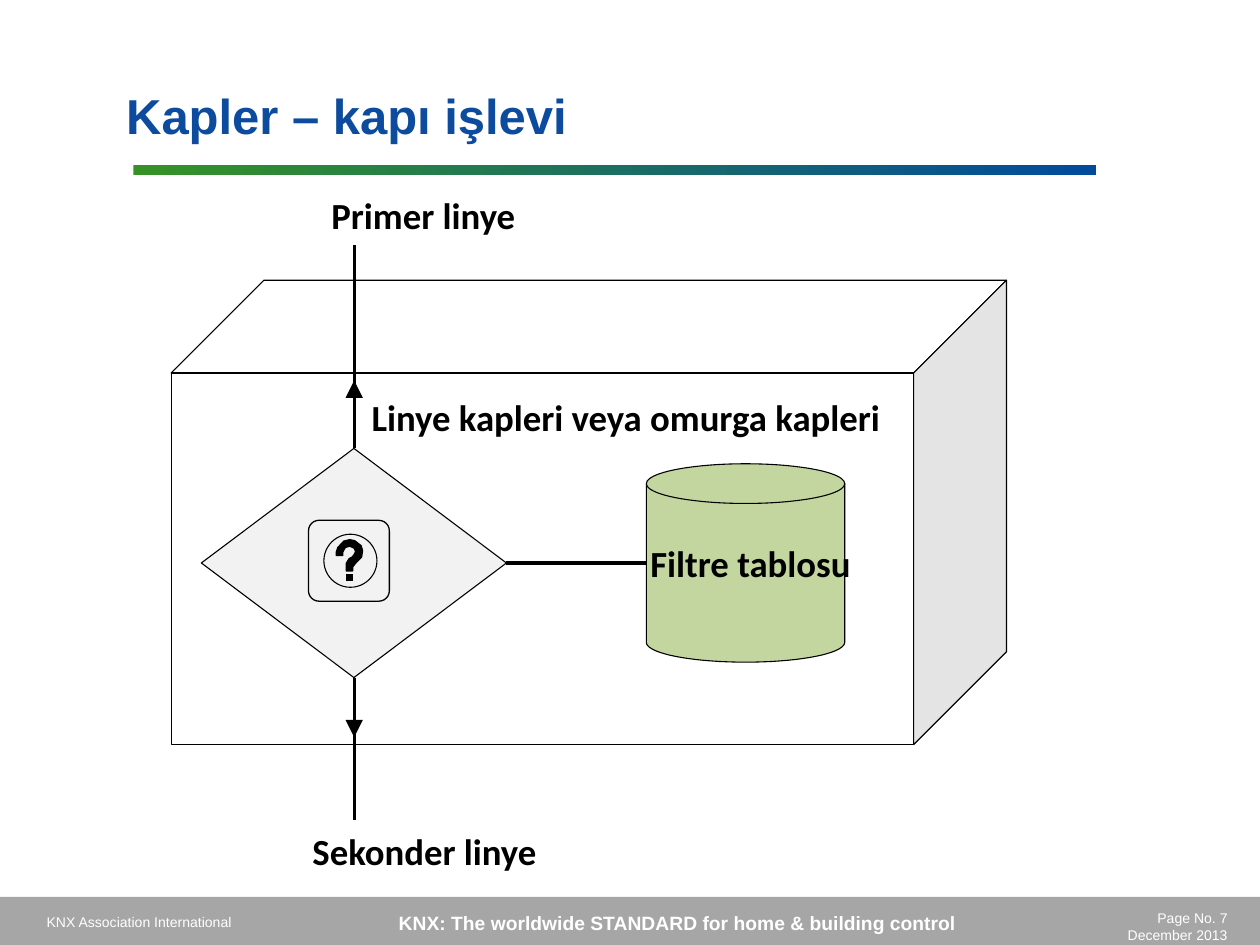
"""Build the slide that explains the gate function of a KNX coupler."""
from math import cos, pi, sin

from pptx import Presentation
from pptx.dml.color import RGBColor
from pptx.enum.shapes import MSO_CONNECTOR, MSO_SHAPE
from pptx.enum.text import MSO_ANCHOR, PP_ALIGN
from pptx.oxml.ns import qn
from pptx.util import Cm, Pt
from lxml.etree import SubElement

COLORS = {
    "title": "0C4B9D",
    "green": "369226",
    "blue": "014B9D",
    "footer": "A6A6A6",
    "white": "FFFFFF",
    "black": "000000",
    "side": "E4E4E4",
    "table": "C4D6A0",
    "decision": "F2F2F2",
}
THIN = 0.62


def paint(shape, fill, width):
    """Set a flat fill and a black outline, either of which may be None."""
    shape.shadow.inherit = False
    if fill:
        shape.fill.solid()
        shape.fill.fore_color.rgb = RGBColor.from_string(COLORS[fill])
    else:
        shape.fill.background()
    if width is None:
        shape.line.fill.background()
    else:
        shape.line.color.rgb = RGBColor.from_string(COLORS["black"])
        shape.line.width = Pt(width)


def write(frame, text, font, size, color, bold, align=PP_ALIGN.LEFT):
    """Fill a text frame and format all of its runs alike."""
    frame.text = text
    for para in frame.paragraphs:
        para.alignment = align
        for span in para.runs:
            span.font.name = font
            span.font.size = Pt(size)
            span.font.bold = bold
            span.font.color.rgb = RGBColor.from_string(COLORS[color])


deck = Presentation()
deck.slide_width, deck.slide_height = Cm(25.4), Cm(19.05)
page = deck.slides.add_slide(deck.slide_layouts[5])
shapes = page.shapes

title = shapes.title
title.left, title.top, title.width, title.height = Cm(2.29), Cm(1.32), Cm(19.41), Cm(2.01)
title.text_frame.vertical_anchor = MSO_ANCHOR.MIDDLE
write(title.text_frame, "Kapler – kapı işlevi", "Arial", 28, "title", True)

footer = shapes.add_shape(MSO_SHAPE.RECTANGLE, 0, Cm(18.08), Cm(25.4), Cm(0.97))
paint(footer, "footer", None)
rule = shapes.add_shape(MSO_SHAPE.RECTANGLE, Cm(2.69), Cm(3.33), Cm(19.41), Cm(0.2))
paint(rule, None, None)
rule.fill.gradient()
rule.fill.gradient_angle = 0
for stop, position, name in zip(rule.fill.gradient_stops, (0, 1), ("green", "blue")):
    stop.position = position
    stop.color.rgb = RGBColor.from_string(COLORS[name])

footer_texts = [
    ("KNX Association International", 0.69, 18.29, 5.79, 0.61, 8, False, PP_ALIGN.LEFT),
    ("Page No. 7\nDecember 2013", 22.1, 18.21, 2.9, 0.94, 8, False, PP_ALIGN.RIGHT),
    ("KNX: The worldwide STANDARD for home & building control",
     4.45, 18.24, 18.42, 0.74, 11, True, PP_ALIGN.CENTER),
]
for text, left, top, width, height, size, bold, align in footer_texts:
    box = shapes.add_textbox(Cm(left), Cm(top), Cm(width), Cm(height))
    box.text_frame.word_wrap = True
    write(box.text_frame, text, "Arial", size, "white", bold, align)

left, top, right, bottom, depth = 3.45, 7.52, 18.42, 15.01, 1.87
cube_top = [(left, top), (right, top), (right + depth, top - depth), (left + depth, top - depth)]
cube_side = [(right, bottom), (right + depth, bottom - depth),
             (right + depth, top - depth), (right, top)]
cube_front = [(left, top), (right, top), (right, bottom), (left, bottom)]

drum_x, drum_top, drum_bottom, radius_x, radius_y = 15.03, 9.75, 12.95, 2, 0.4
drum = [(drum_x - radius_x, drum_top), (drum_x + radius_x, drum_top)]
drum += [(drum_x + radius_x * cos(step * pi / 36), drum_bottom + radius_y * sin(step * pi / 36))
         for step in range(37)]

question_hook = [
    (6.98, 11.51), (7.11, 11.51), (7.11, 11.43), (7.19, 11.33), (7.29, 11.23), (7.31, 11.1),
    (7.28, 11), (7.15, 10.9), (7.05, 10.88), (6.93, 10.91), (6.81, 11.04), (6.78, 11.13),
    (6.78, 11.2), (6.91, 11.2), (6.91, 11.13), (6.96, 11.04), (7.05, 11.01), (7.14, 11.05),
    (7.17, 11.12), (7.14, 11.18), (7.1, 11.23), (7.04, 11.26), (6.98, 11.36),
]
outlines = [
    (cube_top, "white", THIN),
    (cube_side, "side", THIN),
    (cube_front, "white", THIN),
    (drum, "table", THIN),
    (question_hook, "black", 0),
]
for points, fill, width in outlines:
    corners = [(Cm(x), Cm(y)) for x, y in points]
    builder = shapes.build_freeform(*corners[0])
    builder.add_line_segments(corners[1:], close=True)
    outline = builder.convert_to_shape()
    paint(outline, fill, width)
hook = outline

presets = [
    (MSO_SHAPE.OVAL, drum_x - radius_x, drum_top - radius_y, 2 * radius_x, 2 * radius_y,
     "table", THIN),
    (MSO_SHAPE.DIAMOND, 4.06, 9.04, 6.15, 4.62, "decision", THIN),
    (MSO_SHAPE.ROUNDED_RECTANGLE, 6.22, 10.49, 1.63, 1.63, "decision", 0),
    (MSO_SHAPE.OVAL, 6.53, 10.77, 1.07, 1.07, None, THIN),
    (MSO_SHAPE.RECTANGLE, 6.98, 11.58, 0.13, 0.13, "black", 0),
]
for kind, x, y, width, height, fill, line in presets:
    shape = shapes.add_shape(kind, Cm(x), Cm(y), Cm(width), Cm(height))
    paint(shape, fill, line)
    if kind == MSO_SHAPE.ROUNDED_RECTANGLE:
        shape.adjustments[0] = 0.13
shape.element.addnext(hook.element)

gate_x, gate_y = 7.14, 11.35
wires = [
    (10.21, gate_y, 13.03, gate_y, False),
    (gate_x, 9.04, gate_x, 7.67, True),
    (gate_x, 13.66, gate_x, 14.86, True),
    (gate_x, 7.82, gate_x, 4.93, False),
    (gate_x, 14.68, gate_x, 16.54, False),
]
for x1, y1, x2, y2, arrow in wires:
    wire = shapes.add_connector(MSO_CONNECTOR.STRAIGHT, Cm(x1), Cm(y1), Cm(x2), Cm(y2))
    wire.line.color.rgb = RGBColor.from_string(COLORS["black"])
    wire.line.width = Pt(1.75)
    if arrow:
        SubElement(wire.line._get_or_add_ln(), qn("a:tailEnd"), type="triangle", w="lg", len="lg")
    SubElement(wire.element.spPr, qn("a:effectLst"))

labels = [
    ("Filtre tablosu", 13.11, 10.9, 4.19),
    ("Linye kapleri veya omurga kapleri", 7.49, 7.95, 10.77),
    ("Primer linye", 6.68, 3.89, 3.73),
    ("Sekonder linye", 6.3, 16.71, 4.57),
]
for text, x, y, width in labels:
    box = shapes.add_textbox(Cm(x), Cm(y), Cm(width), Cm(0.89))
    frame = box.text_frame
    frame.margin_left = frame.margin_top = frame.margin_right = frame.margin_bottom = 0
    frame.word_wrap = False
    write(frame, text, "Calibri", 21, "black", True)

deck.save("out.pptx")
